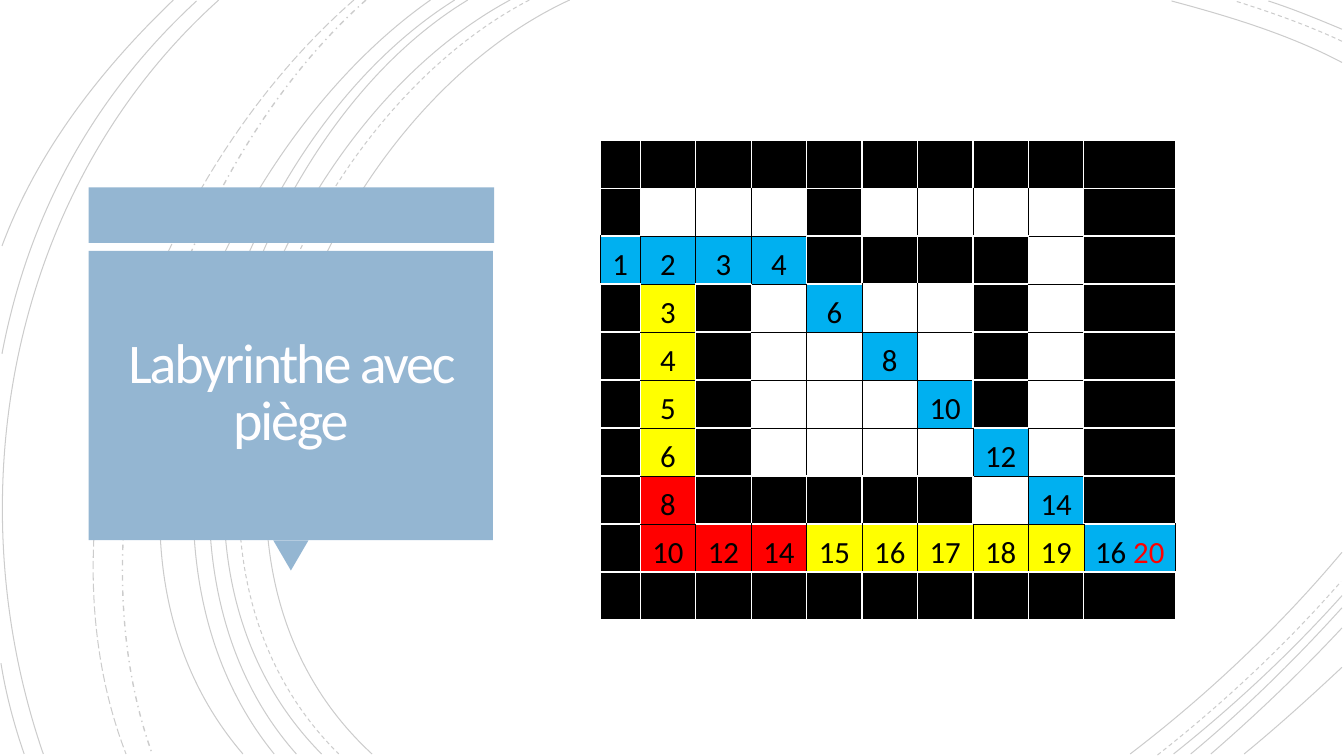
from dataclasses import dataclass

from lxml import etree
from pptx import Presentation
from pptx.dml.color import RGBColor
from pptx.enum.dml import MSO_LINE
from pptx.enum.shapes import MSO_SHAPE
from pptx.enum.text import MSO_ANCHOR, PP_ALIGN
from pptx.oxml.ns import qn
from pptx.util import Inches, Pt

RECTANGLE, TRIANGLE = MSO_SHAPE.RECTANGLE, MSO_SHAPE.ISOSCELES_TRIANGLE
MIDDLE, BOTTOM, CENTER = MSO_ANCHOR.MIDDLE, MSO_ANCHOR.BOTTOM, PP_ALIGN.CENTER
SOLID, DASH = MSO_LINE.SOLID, MSO_LINE.DASH
LONG_DASH, DASH_DOT = MSO_LINE.LONG_DASH, MSO_LINE.DASH_DOT


@dataclass(frozen=True)
class Theme:
    font: str = "Calibri"
    title_size: float = 40
    number_size: float = 22
    panel: str = "94B6D2"
    title: str = "FFFEFF"
    black: str = "000000"
    blue: str = "00B0F0"
    yellow: str = "FFFF00"
    red: str = "FF0000"


THEME = Theme()

# Background arcs: start, control 1, control 2, end, dash
ARCS = [
    ((5.65, 0), (3.15, 1.15), (1.43, 5.4), (3.69, 7.48), SOLID),
    ((13.31, 0.62), (12.78, 0.34), (12.18, 0.16), (11.62, 0.01), SOLID),
    ((11.21, 7.48), (11.97, 6.9), (12.69, 6.22), (13.31, 5.48), SOLID),
    ((5.25, 0), (2.85, 1.25), (1.23, 5.37), (3.36, 7.48), DASH),
    ((13.31, 0.41), (12.97, 0.25), (12.6, 0.12), (12.25, 0.01), DASH),
    ((11.48, 7.49), (12.13, 6.98), (12.75, 6.4), (13.3, 5.77), DASH),
    ((5.06, 0), (2.7, 1.27), (1.1, 5.37), (3.19, 7.48), SOLID),
    ((13.31, 0.29), (13.07, 0.19), (12.83, 0.09), (12.58, 0.01), SOLID),
    ((11.64, 7.48), (12.23, 7.01), (12.8, 6.48), (13.31, 5.91), SOLID),
    ((4.64, 0), (2.44, 1.33), (1.1, 5.41), (2.94, 7.48), SOLID),
    ((11.81, 7.48), (12.34, 7.04), (12.84, 6.55), (13.31, 6.03), SOLID),
    ((4.51, 0), (2.31, 1.38), (0.97, 5.33), (2.72, 7.48), SOLID),
    ((12.01, 7.48), (12.46, 7.09), (12.9, 6.67), (13.31, 6.23), SOLID),
    ((4.27, 0), (2.17, 1.47), (0.53, 5.29), (2.41, 7.48), SOLID),
    ((12.34, 7.48), (12.67, 7.21), (12.99, 6.92), (13.31, 6.62), SOLID),
    ((3.63, 0), (1.76, 1.66), (0.65, 5.09), (1.51, 7.48), DASH_DOT),
    ((3.51, 0), (1.57, 1.69), (0.29, 4.99), (1.25, 7.48), LONG_DASH),
    ((2.17, 0), (0.11, 1.85), (-0.46, 4.9), (0.43, 7.48), SOLID),
    ((1.95, 0.01), (0.92, 0.96), (0.28, 2.14), (0.02, 3.51), SOLID),
    ((0.01, 6.58), (0.06, 6.89), (0.14, 7.19), (0.24, 7.48), SOLID),
    ((1.72, 0), (1, 0.69), (0.37, 1.5), (0.02, 2.44), SOLID),
]

# Maze: # wall, . free, B/Y/R path colour followed by the step number
MAZE = """
#  #   #   #   #   #   #   #   #   #
#  .   .   .   #   .   .   .   .   #
B1 B2  B3  B4  #   #   #   #   .   #
#  Y3  #   .   B6  .   .   #   .   #
#  Y4  #   .   .   B8  .   #   .   #
#  Y5  #   .   .   .   B10 #   .   #
#  Y6  #   .   .   .   .   B12 .   #
#  R8  #   #   #   #   #   .   B14 #
#  R10 R12 R14 Y15 Y16 Y17 Y18 Y19 B16/20
#  #   #   #   #   #   #   #   #   #
"""
CELL_FILLS = {"#": THEME.black, "B": THEME.blue, "Y": THEME.yellow, "R": THEME.red}
COLUMN_WIDTHS = [0.4] + [0.55] * 8 + [0.91]
MAZE_HEIGHT = 4.76


def rgb(color):
    return RGBColor.from_string(color)


def style_run(run, size, color):
    run.font.name = THEME.font
    run.font.size = Pt(size)
    run.font.color.rgb = rgb(color)


def add_arc(slide, start, control_1, control_2, end, dash):
    points = [(Inches(x), Inches(y)) for x, y in (start, control_1, control_2, end)]
    builder = slide.shapes.build_freeform(*points[0], scale=1.0)
    builder.add_line_segments(points[1:], close=False)
    arc = builder.convert_to_shape()
    # Join the three segments into one Bézier curve
    segments = list(arc._element.iter(qn("a:lnTo")))
    curve = etree.SubElement(segments[0].getparent(), qn("a:cubicBezTo"))
    for segment in segments:
        curve.append(segment[0])
        segment.getparent().remove(segment)
    arc.shadow.inherit = False
    arc.fill.background()
    arc.line.color.rgb = rgb(THEME.black)
    arc.line.width = Pt(1 if dash == DASH_DOT else 0.75)
    arc.line.dash_style = dash
    ink = arc._element.spPr.find(qn("a:ln")).find(".//" + qn("a:srgbClr"))
    etree.SubElement(ink, qn("a:alpha"), val="20000")


def add_panel(slide, kind, left, top, width, height, rotation=0):
    panel = slide.shapes.add_shape(
        kind, Inches(left), Inches(top), Inches(width), Inches(height))
    panel.shadow.inherit = False
    panel.fill.solid()
    panel.fill.fore_color.rgb = rgb(THEME.panel)
    panel.line.fill.background()
    panel.rotation = rotation


def add_title(slide, text, left, top, width, height):
    frame = slide.shapes.add_textbox(
        Inches(left), Inches(top), Inches(width), Inches(height)).text_frame
    frame.word_wrap = True
    frame.vertical_anchor = MIDDLE
    frame.margin_left = frame.margin_right = Inches(0.25)
    frame.margin_top = frame.margin_bottom = Inches(0.25)
    frame.text = text
    paragraph = frame.paragraphs[0]
    paragraph.alignment = CENTER
    paragraph.line_spacing = 0.85
    run = paragraph.runs[0]
    style_run(run, THEME.title_size, THEME.title)
    run.font._element.set("spc", "-150")


def add_borders(cell):
    properties = cell._tc.get_or_add_tcPr()
    for position, side in enumerate(("a:lnL", "a:lnR", "a:lnT", "a:lnB")):
        border = etree.Element(qn(side), w=str(Pt(0.5)))
        ink = etree.SubElement(border, qn("a:solidFill"))
        etree.SubElement(ink, qn("a:srgbClr"), val=THEME.black)
        properties.insert(position, border)


def fill_cell(cell, token):
    kind, label = token[0], token[1:]
    if kind in CELL_FILLS:
        cell.fill.solid()
        cell.fill.fore_color.rgb = rgb(CELL_FILLS[kind])
    else:
        cell.fill.background()
    # Walls are as black as the grid lines
    if kind != "#":
        add_borders(cell)
    if not label:
        return
    cell.vertical_anchor = BOTTOM
    cell.margin_left = cell.margin_right = cell.margin_top = Inches(0.02)
    cell.margin_bottom = 0
    number, slash, trap_number = label.partition("/")
    paragraph = cell.text_frame.paragraphs[0]
    paragraph.text = number + (" " if slash else "")
    paragraph.alignment = CENTER
    style_run(paragraph.runs[0], THEME.number_size, THEME.black)
    if trap_number:
        trap_run = paragraph.add_run()
        trap_run.text = trap_number
        style_run(trap_run, THEME.number_size, THEME.red)


def add_maze(slide, left, top):
    rows = [line.split() for line in MAZE.strip().splitlines()]
    maze = slide.shapes.add_table(
        len(rows), len(COLUMN_WIDTHS), Inches(left), Inches(top),
        Inches(sum(COLUMN_WIDTHS)), Inches(MAZE_HEIGHT)).table
    maze.first_row = maze.horz_banding = False
    for column, width in zip(maze.columns, COLUMN_WIDTHS):
        column.width = Inches(width)
    for row, tokens in zip(maze.rows, rows):
        row.height = Inches(MAZE_HEIGHT / len(rows))
        for cell, token in zip(row.cells, tokens):
            fill_cell(cell, token)


def main():
    deck = Presentation()
    deck.slide_width, deck.slide_height = Inches(13.33), Inches(7.5)
    slide = deck.slides.add_slide(deck.slide_layouts[6])

    # Background arcs
    for arc in ARCS:
        add_arc(slide, *arc)

    # Title panel with its pointer
    add_panel(slide, RECTANGLE, 0.88, 1.86, 4.02, 0.55)
    add_panel(slide, TRIANGLE, 2.71, 5.36, 0.35, 0.3, rotation=180)
    add_panel(slide, RECTANGLE, 0.88, 2.49, 4.01, 2.87)
    add_title(slide, "Labyrinthe avec piège", 0.97, 2.57, 3.83, 2.69)

    # Maze
    add_maze(slide, 5.95, 1.39)

    deck.save("out.pptx")


main()
